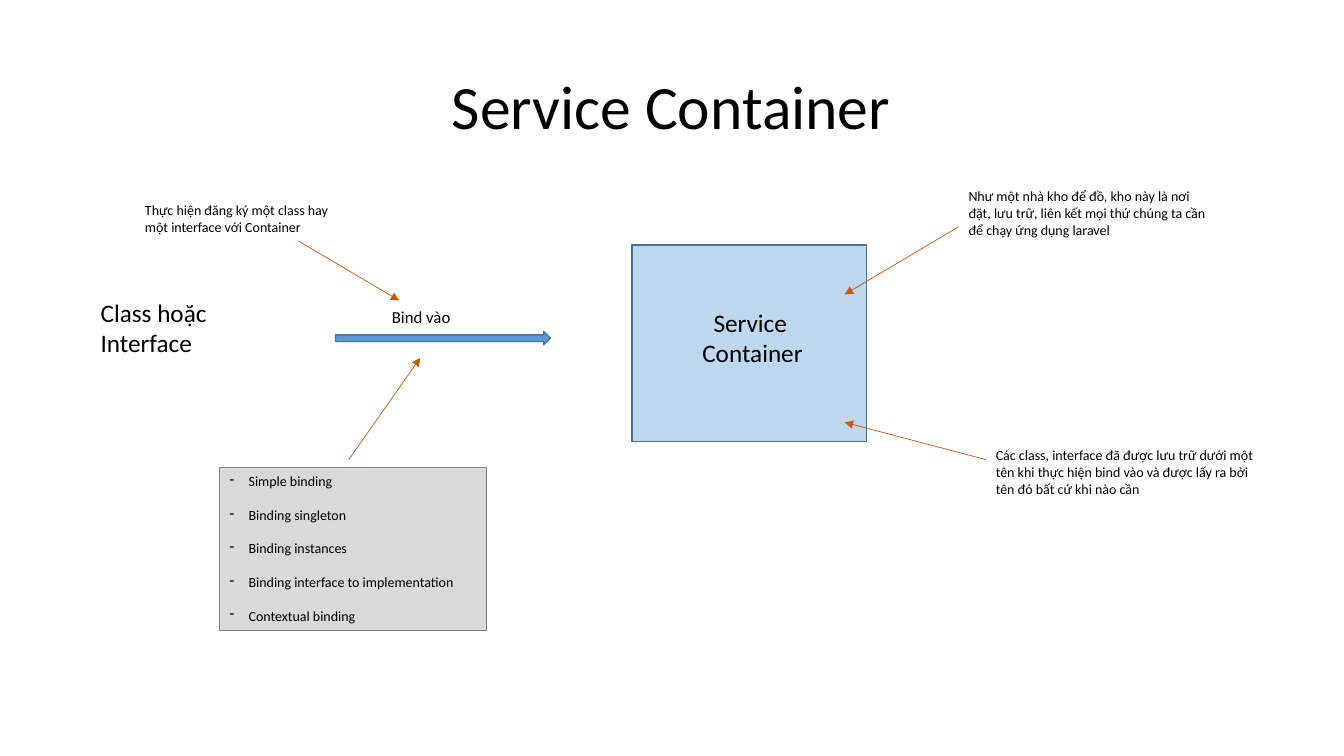
from pptx import Presentation
from pptx.dml.color import RGBColor as Rgb
from pptx.enum.shapes import MSO_CONNECTOR as Link, MSO_SHAPE as Kind
from pptx.enum.text import MSO_ANCHOR as Anchor, PP_ALIGN as Align
from pptx.oxml.ns import qn
from pptx.util import Pt
from lxml.etree import SubElement as Sub

HUES = {
    "ink": "000000", "blue": "5B9BD5", "edge": "43739E", "pale": "BDD7EE",
    "rust": "C55A11", "grey": "D9D9D9", "rim": "808080",
}


def hue(name):
    return Rgb.from_string(HUES[name])


def write(frame, lines, size, align=Align.LEFT, **form):
    frame.word_wrap = True
    for num, line in enumerate(lines):
        para = frame.paragraphs[0] if num == 0 else frame.add_paragraph()
        for key, val in {"alignment": align, **form}.items():
            setattr(para, key, val)
        run = para.add_run()
        run.text = line
        for key, val in {"size": Pt(size), "name": "Calibri"}.items():
            setattr(run.font, key, val)
        run.font.color.rgb = hue("ink")


def label(slide, box, text, size, **form):
    frame = slide.shapes.add_textbox(*map(Pt, box)).text_frame
    write(frame, [text], size, **form)
    return frame


def block(slide, kind, box, fill, edge, width):
    shape = slide.shapes.add_shape(kind, *map(Pt, box))
    shape.shadow.inherit = False
    shape.fill.solid()
    shape.fill.fore_color.rgb = hue(fill)
    shape.line.color.rgb = hue(edge)
    shape.line.width = Pt(width)
    return shape


def arrow(slide, *ends):
    link = slide.shapes.add_connector(Link.STRAIGHT, *map(Pt, ends))
    link.line.color.rgb = hue("rust")
    link.line.width = Pt(0.5)
    Sub(link.line._get_or_add_ln(), qn("a:tailEnd"), type="triangle")
    Sub(link._element.spPr, qn("a:effectLst"))


def title(slide, box):
    frame = label(slide, box, "Service Container", 44,
                  align=Align.CENTER, line_spacing=0.9)
    frame.vertical_anchor = Anchor.MIDDLE


def ways(slide, box):
    frame = block(slide, Kind.RECTANGLE, box, "grey", "rim", 0.75).text_frame
    frame.vertical_anchor = Anchor.TOP
    write(frame, ["Simple binding", "Binding singleton", "Binding instances",
                  "Binding interface to implementation", "Contextual binding"], 10)
    for num, para in enumerate(frame.paragraphs):
        para.space_before = Pt(12 if num else 0)
        props = para._p.get_or_add_pPr()
        props.set("marL", str(Pt(13.5)))
        props.set("indent", str(Pt(-13.5)))
        Sub(props, qn("a:buChar"), char="-")


def binding(slide, box):
    x, y, wide, high = box
    label(slide, (x, y + 68.4, 116.6, 51.1), "Class hoặc Interface", 18)
    block(slide, Kind.RIGHT_ARROW, (x + wide - 153.4, y + 96.5, 153.4, 9.4),
          "blue", "edge", 1)
    label(slide, (x + 208, y + 75, 105.8, 21.6), "Bind vào", 12)
    arrow(slide, x + 148.3, y + 31.7, x + 220.3, y + 74.2)
    label(slide, (x + 31.7, y, 153.4, 31.7),
          "Thực hiện đăng ký một class hay một interface với Container", 10)
    arrow(slide, x + 184.3, y + 188, x + 235.4, y + 115.2)
    ways(slide, (x + 92.2, y + high - 116.6, 190.8, 116.6))


def store(slide, box):
    x, y, wide, high = box
    block(slide, Kind.RECTANGLE, (x, y + 44.6, 167.8, 140.4), "pale", "edge", 1)
    frame = label(slide, (x + 43.2, y + 85.7, 99.4, 51.1), "Service Container", 18)
    frame.paragraphs[0]._p.get_or_add_pPr().set("indent", str(Pt(8)))
    label(slide, (x + 233.3, y, 185.8, 43.9),
          "Như một nhà kho để đồ, kho này là nơi đặt, lưu trữ, liên kết "
          "mọi thứ chúng ta cần để chạy ứng dụng laravel", 10)
    arrow(slide, x + 233.3, y + 31.7, x + 152, y + 80)
    arrow(slide, x + 252.7, y + 198, x + 152, y + 171.4)
    label(slide, (x + wide - 203, y + high - 43.9, 203, 43.9),
          "Các class, interface đã được lưu trữ dưới một tên khi thực hiện "
          "bind vào và được lấy ra bởi tên đó bất cứ khi nào cần", 10)


def main():
    deck = Presentation()
    deck.slide_width, deck.slide_height = Pt(960), Pt(540)
    slide = deck.slides.add_slide(deck.slide_layouts[6])
    title(slide, (124.6, 25.9, 709.9, 104.4))
    binding(slide, (64.8, 140.4, 328.3, 310.3))
    store(slide, (451.4, 130.3, 455.8, 229))
    deck.save("out.pptx")


if __name__ == "__main__":
    main()
